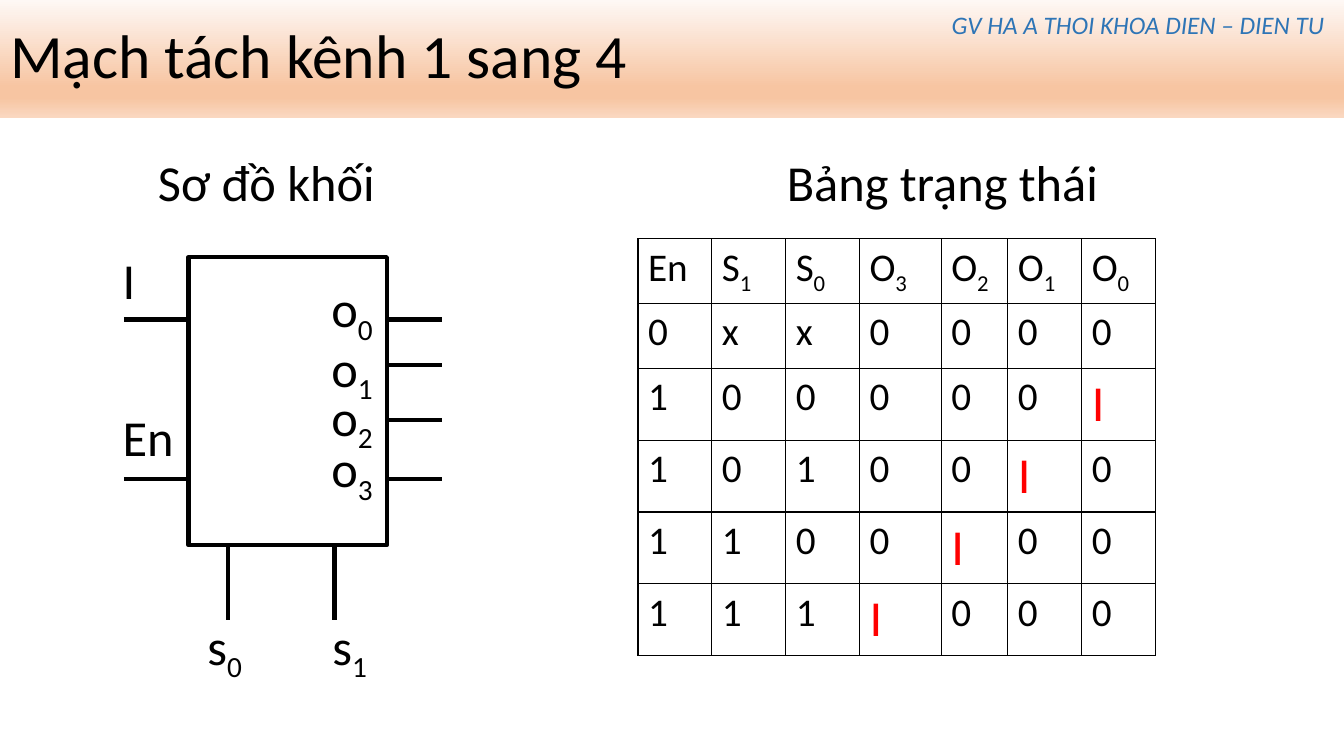
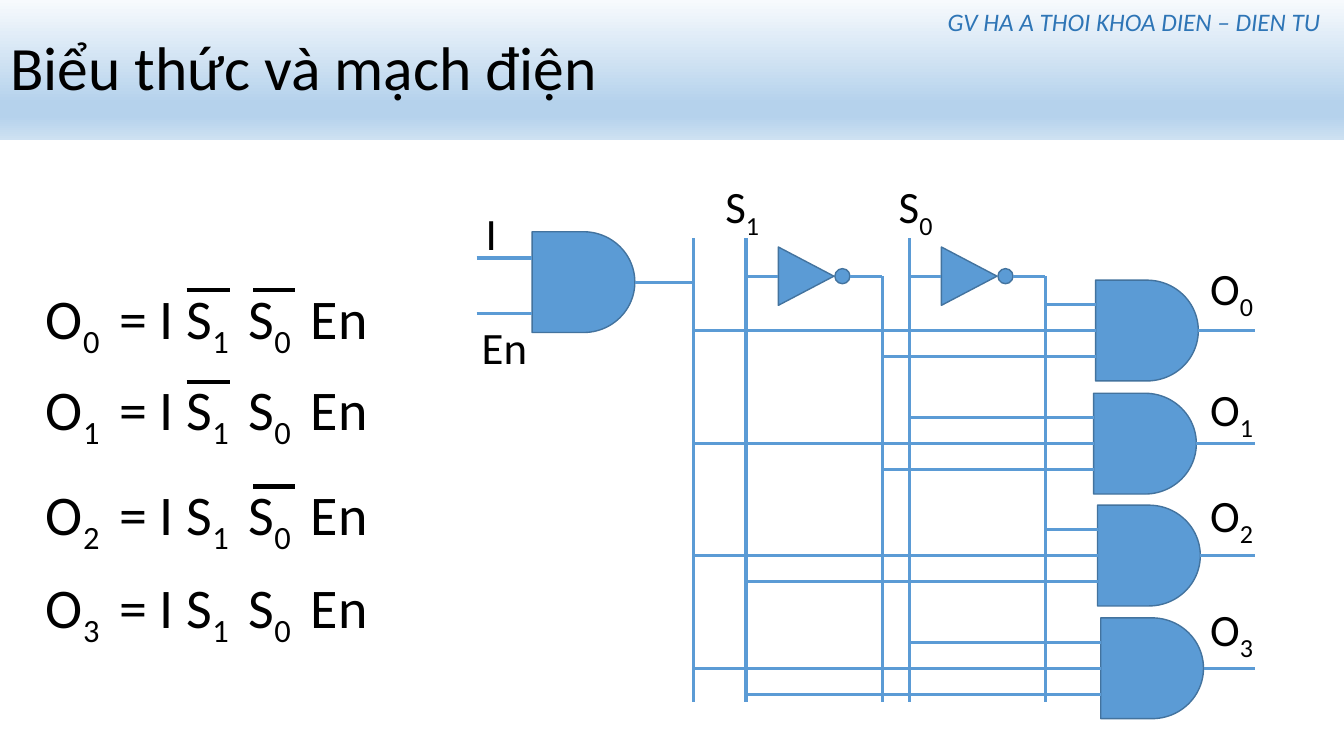
from pptx import Presentation
from pptx.dml.color import RGBColor
from pptx.enum import shapes, text
from pptx.oxml import parse_xml
from pptx.oxml.ns import nsdecls, qn
from pptx.util import Cm, Pt
from lxml import etree

FONT = "Calibri"
COLORS = {
    "ink": "000000",
    "credit": "2E75B6",
    "signal": "FF0000",
    "gate": "5B9BD5",
    "gate_edge": "43739E",
}
BANDS = {
    "orange": ["FEF8F5", "F7C5A2", "F7C5A2", "FAD8C1"],
    "blue": ["F7FAFD", "B5D2EC", "B5D2EC", "CEE1F2"],
}
BAND_STOPS = [0, 74, 83, 100]
CREDIT = "GV HA A THOI KHOA DIEN – DIEN TU"


def color_of(name):
    return RGBColor.from_string(COLORS[name])


def write_text(frame, content, size=36, color="ink", italic=False, align="LEFT", spacing=None):
    """Pieces between bars alternate between normal and subscript text."""
    paragraph = frame.paragraphs[0]
    paragraph.alignment = getattr(text.PP_ALIGN, align)
    if spacing:
        paragraph.line_spacing = spacing
    for position, piece in enumerate(content.split("|")):
        if not piece:
            continue
        run = paragraph.add_run()
        run.text = piece
        run.font.name = FONT
        run.font.size = Pt(size)
        run.font.italic = italic
        run.font.color.rgb = color_of(color)
        if position % 2:
            run.font._element.set("baseline", "-25000")


def add_label(slide, content, left, top, width, height=1.8, wrap=True, **text_format):
    box = slide.shapes.add_textbox(Cm(left), Cm(top), Cm(width), Cm(height))
    box.text_frame.word_wrap = wrap
    write_text(box.text_frame, content, **text_format)
    return box


def add_slide(presentation, title, band, height, credit_left, credit_top):
    slide = presentation.slides.add_slide(presentation.slide_layouts[5])
    shape = slide.shapes.title
    shape.left, shape.top = Cm(0), Cm(0)
    shape.width, shape.height = presentation.slide_width, Cm(height)
    stops = "".join(
        f'<a:gs pos="{stop * 1000}"><a:srgbClr val="{color}"/></a:gs>'
        for stop, color in zip(BAND_STOPS, BANDS[band])
    )
    shape._element.spPr.append(parse_xml(
        f'<a:gradFill {nsdecls("a")} rotWithShape="1"><a:gsLst>{stops}</a:gsLst>'
        '<a:lin ang="5400000" scaled="0"/></a:gradFill>'
    ))
    shape.text_frame.auto_size = text.MSO_AUTO_SIZE.NONE
    shape.text_frame.vertical_anchor = text.MSO_ANCHOR.MIDDLE
    write_text(shape.text_frame, title, size=44, spacing=0.9)
    add_label(slide, CREDIT, credit_left, credit_top, 10.16, 1.02, wrap=False,
              size=18, color="credit", italic=True, align="CENTER")
    return slide


def add_line(slide, start, end, color="ink", width=3, source=None, target=None):
    line = slide.shapes.add_connector(
        shapes.MSO_CONNECTOR.STRAIGHT, *(Cm(value) for value in (*start, *end)))
    line.line.color.rgb = color_of(color)
    line.line.width = Pt(width)
    etree.SubElement(line._element.spPr, qn("a:effectLst"))
    if source:
        line.begin_connect(source, 3)
    if target:
        line.end_connect(target, 1)
    return line


def add_wire(slide, start, end, **joints):
    return add_line(slide, start, end, color="gate", width=2.25, **joints)


def add_outline(slide, kind, left, top, width, height, fill=None, edge="ink", weight=3):
    shape = slide.shapes.add_shape(kind, Cm(left), Cm(top), Cm(width), Cm(height))
    shape.shadow.inherit = False
    if fill:
        shape.fill.solid()
        shape.fill.fore_color.rgb = color_of(fill)
    else:
        shape.fill.background()
    shape.line.color.rgb = color_of(edge)
    shape.line.width = Pt(weight)
    return shape


def add_part(slide, kind, left, top, width, height):
    return add_outline(slide, kind, left, top, width, height, "gate", "gate_edge", 1)


def add_gate(slide, left, middle):
    return add_part(slide, shapes.MSO_SHAPE.FLOWCHART_DELAY, left, middle - 1.27, 2.59, 2.54)


def add_inverter(slide, bus, middle):
    triangle = add_part(slide, shapes.MSO_SHAPE.ISOSCELES_TRIANGLE,
                        bus + 0.78, middle - 0.7, 1.47, 1.4)
    triangle.rotation = 90
    add_part(slide, shapes.MSO_SHAPE.OVAL, bus + 2.24, middle - 0.19, 0.38, 0.38)
    for start, end in [(0, 0.81), (2.62, 3.43)]:
        add_wire(slide, (bus + start, middle), (bus + end, middle))


def set_borders(cell):
    properties = cell._tc.get_or_add_tcPr()
    for position, side in enumerate(["lnL", "lnR", "lnT", "lnB"]):
        properties.insert(position, parse_xml(
            f'<a:{side} {nsdecls("a")} w="12700"><a:solidFill>'
            f'<a:srgbClr val="{COLORS["ink"]}"/></a:solidFill></a:{side}>'
        ))


def add_state_table(slide, rows, left, top, widths, heights):
    frame = slide.shapes.add_table(len(rows), len(widths), Cm(left), Cm(top),
                                   Cm(sum(widths)), Cm(sum(heights)))
    table = frame.table
    table.first_row = table.horz_banding = False
    for column, width in zip(table.columns, widths):
        column.width = Cm(width)
    for row, height, values in zip(table.rows, heights, rows):
        row.height = Cm(height)
        for cell, value in zip(row.cells, values.split()):
            cell.fill.background()
            set_borders(cell)
            if value == "I":
                write_text(cell.text_frame, value, size=36, color="signal")
            else:
                write_text(cell.text_frame, value, size=28)


def add_block_diagram(slide):
    left, top, width, height = 4.75, 6.48, 5, 7.26
    right, bottom = left + width, top + height
    add_outline(slide, shapes.MSO_SHAPE.RECTANGLE, left, top, width, height)
    for name, y, label_top in [("I", 8.05, 6.15), ("En", 12.07, 10.11)]:
        add_line(slide, (3.12, y), (left, y))
        add_label(slide, name, 2.84, label_top, 2.18)
    outputs = [(8.05, 6.86), (9.19, 8.36), (10.59, 9.6), (12.07, 10.9)]
    for index, (y, label_top) in enumerate(outputs):
        add_line(slide, (right, y), (right + 1.4, y))
        add_label(slide, f"o|{index}", 8.1, label_top, 2.29)
    for index, (x, label_left) in enumerate([(5.74, 4.98), (8.43, 8.13)]):
        add_line(slide, (x, bottom), (x, 15.62))
        add_label(slide, f"s|{index}", label_left, 15.37, 2.29)


def add_expressions(slide):
    for index, top in enumerate([7.01, 9.32, 11.96, 14.3]):
        add_label(slide, f"O|{index} | = I S|1 | S|0 | En", 0.91, top, 8.97, 1.96,
                  wrap=False, size=40)
        for bit, start, end in [(2, 4.7, 5.79), (1, 6.38, 7.44)]:
            if not index & bit:
                add_line(slide, (start, top + 0.3), (end, top + 0.3))


def add_circuit(slide):
    enable, s1, not_s1, s0, not_s0 = 17.48, 18.8, 22.23, 22.91, 26.34
    inverter_y, bus_top, bus_bottom = 6.96, 6, 17.7
    for bus in (enable, s1, s0):
        add_wire(slide, (bus, bus_top), (bus, bus_bottom))
    for bus in (not_s1, not_s0):
        add_wire(slide, (bus, inverter_y), (bus, bus_bottom))
    for index, bus, label_left in [(1, s1, 18.03), (0, s0, 22.4)]:
        add_inverter(slide, bus, inverter_y)
        add_label(slide, f"S|{index}", label_left, 4.39, 1.57, 1.63, size=32)

    input_y = 7.11
    input_gate = add_gate(slide, 13.41, input_y)
    add_wire(slide, (16, input_y), (enable, input_y), source=input_gate)
    for name, offset, label_left, label_top, width in [
        ("I", -0.61, 11.99, 5.05, 1.04), ("En", 0.79, 11.89, 7.92, 2.06),
    ]:
        add_wire(slide, (12.01, input_y + offset), (13.41, input_y + offset))
        add_label(slide, name, label_left, label_top, width, 1.63, size=32)

    output_gates = [(27.61, 8.33, 6.45), (27.56, 11.18, 9.5),
                    (27.66, 14, 12.17), (27.74, 16.84, 15.04)]
    for index, (left, middle, label_top) in enumerate(output_gates):
        gate = add_gate(slide, left, middle)
        upper_bus = s0 if index & 1 else not_s0
        lower_bus = s1 if index & 2 else not_s1
        for bus, y in [(upper_bus, middle - 0.66), (lower_bus, middle + 0.66)]:
            add_wire(slide, (bus, y), (left, y))
        add_wire(slide, (enable, middle), (left, middle), target=gate)
        add_wire(slide, (left + 2.59, middle), (31.62, middle), source=gate)
        add_label(slide, f"O|{index}", 30.25, label_top, 2.06, 1.63, size=32)


def main():
    presentation = Presentation()
    presentation.slide_width, presentation.slide_height = Cm(33.87), Cm(19.05)

    slide = add_slide(presentation, "Mạch tách kênh 1 sang 4", "orange", 2.97, 23.6, 0.1)
    add_label(slide, "Sơ đồ khối", 3.73, 3.68, 6.05, wrap=False)
    add_label(slide, "Bảng trạng thái", 19.58, 3.68, 8.43, wrap=False)
    add_block_diagram(slide)
    add_state_table(
        slide,
        ["En S|1 S|0 O|3 O|2 O|1 O|0",
         "0 x x 0 0 0 0",
         "1 0 0 0 0 0 I",
         "1 0 1 0 0 I 0",
         "1 1 0 0 I 0 0",
         "1 1 1 I 0 0 0"],
        16.08, 6.02,
        [1.86, 1.86, 1.86, 2.06, 1.68, 1.86, 1.86],
        [1.63] * 2 + [1.81] * 4,
    )

    slide = add_slide(presentation, "Biểu thức và mạch điện", "blue", 3.53, 23.5, 0.03)
    add_expressions(slide)
    add_circuit(slide)

    presentation.save("out.pptx")


if __name__ == "__main__":
    main()
